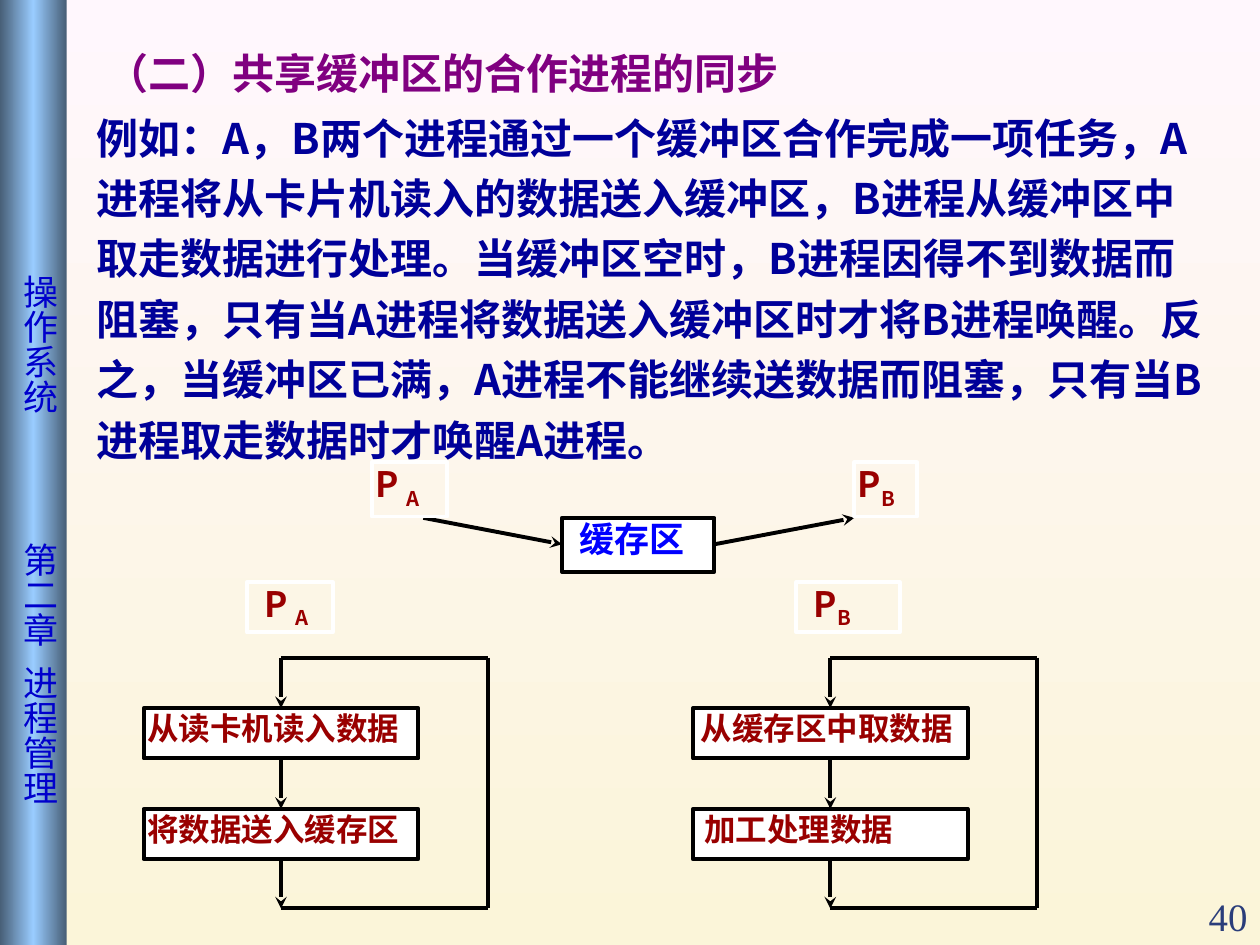
from dataclasses import dataclass
from copy import deepcopy

from lxml.etree import SubElement
from pptx import Presentation
from pptx.dml.color import RGBColor
from pptx.enum.shapes import MSO_CONNECTOR, MSO_SHAPE
from pptx.enum.text import MSO_ANCHOR, PP_ALIGN
from pptx.oxml.ns import qn
from pptx.util import Inches, Pt


@dataclass(frozen=True)
class Theme:
    sans: str = "Noto Sans CJK SC"
    serif: str = "Times New Roman"
    sky: tuple = ((0, "FFF7FD"), (1, "FBF5D9"))
    steel: tuple = ((0, "475E76"), (0.5, "99CCFF"), (1, "475E76"))
    heading: str = "800080"
    body: str = "000099"
    sidebar: str = "0000CC"
    buffer: str = "0000FF"
    step: str = "990000"
    number: str = "2A3D7A"
    black: str = "000000"
    white: str = "FFFFFF"
    text_size: float = 24
    number_size: float = 22.2
    label_size: float = 20
    step_size: float = 18
    stroke: float = 2.25


theme = Theme()
deck = Presentation()
deck.slide_width, deck.slide_height = Inches(10), Inches(7.5)
page = deck.slides.add_slide(deck.slide_layouts[6])

# Grid of 100 columns by 75 rows
column = deck.slide_width / 100
row = deck.slide_height / 75


def add_box(place, text, size, color, font=theme.sans, bold=True, fill=None,
            line=None, margins=(0, 0), subscript=None):
    """Box at (left, top, width, height); margins are (side, top and bottom)."""
    left, top, width, height = place
    box = page.shapes.add_shape(MSO_SHAPE.RECTANGLE, int(left * column), int(top * row),
                                int(width * column), int(height * row))
    box.shadow.inherit = False
    if fill:
        box.fill.solid()
        box.fill.fore_color.rgb = RGBColor.from_string(fill)
    else:
        box.fill.background()
    if line:
        box.line.color.rgb = RGBColor.from_string(line)
        box.line.width = Pt(theme.stroke)
    else:
        box.line.fill.background()
    frame = box.text_frame
    frame.word_wrap = True
    frame.vertical_anchor = MSO_ANCHOR.TOP
    frame.margin_left = int(margins[0] * column)
    frame.margin_right = int(margins[0] * column) if not line else 0
    frame.margin_top = frame.margin_bottom = int(margins[1] * row)
    frame.text = text
    paragraph = frame.paragraphs[0]
    paragraph.alignment = PP_ALIGN.LEFT
    if subscript:
        span = paragraph.add_run()
        span.text = subscript
        span.font._element.set("baseline", "-25000")
    for span in paragraph.runs:
        span.font.size, span.font.bold, span.font.name = Pt(size), bold, font
        span.font.color.rgb = RGBColor.from_string(color)
        SubElement(span.font._element, qn("a:ea"), typeface=theme.sans)
    return box


def add_line(start, end, arrow=False):
    line = page.shapes.add_connector(
        MSO_CONNECTOR.STRAIGHT, int(start[0] * column), int(start[1] * row),
        int(end[0] * column), int(end[1] * row))
    line.line.color.rgb = RGBColor.from_string(theme.black)
    line.line.width = Pt(theme.stroke)
    if arrow:
        SubElement(line.line._get_or_add_ln(), qn("a:tailEnd"), type="stealth")
    SubElement(line._element.spPr, qn("a:effectLst"))


# Sidebar: vertical course and chapter names, spaced by tab stops
sidebar = add_box((0, 0, 5.3, 75), "\t操作系统\t第二章\t进程管理", theme.label_size,
                  theme.sidebar, bold=False, margins=(0.5, 1))
sidebar.text_frame._txBody.bodyPr.set("vert", "eaVert")
tab_list = SubElement(sidebar.text_frame.paragraphs[0]._p.get_or_add_pPr(), qn("a:tabLst"))
for stop_row in (20.8, 42.1, 51.8):
    SubElement(tab_list, qn("a:tab"), pos=str(int(stop_row * row)), algn="l")

# Gradients of the background and the sidebar
for fill, angle, colors in ((page.background.fill, 270, theme.sky),
                            (sidebar.fill, 0, theme.steel)):
    fill.gradient()
    fill.gradient_angle = angle
    stop_list = fill.gradient_stops[0]._gs.getparent()
    for _ in colors[2:]:
        stop_list.append(deepcopy(stop_list[0]))
    for stop, (position, color) in zip(fill.gradient_stops, colors):
        stop.position = position
        stop.color.rgb = RGBColor.from_string(color)

# Page number
number = add_box((90, 70.1, 10, 5), "40", theme.number_size, theme.number,
                 font=theme.serif, bold=False, margins=(1, 0.5))
number.text_frame.vertical_anchor = MSO_ANCHOR.BOTTOM
number.text_frame.paragraphs[0].alignment = PP_ALIGN.RIGHT
number.text_frame.paragraphs[0].line_spacing = 0.9

# Heading and explanation
add_box((7.5, 3.3, 67.5, 5), "（二）共享缓冲区的合作进程的同步", theme.text_size,
        theme.heading, margins=(1, 0.5))
body = add_box(
    (6.7, 7.6, 90.8, 29.8),
    "例如：A，B两个进程通过一个缓冲区合作完成一项任务，A进程将从卡片机读入的数据送入缓冲区，"
    "B进程从缓冲区中取走数据进行处理。当缓冲区空时，B进程因得不到数据而阻塞，"
    "只有当A进程将数据送入缓冲区时才将B进程唤醒。反之，当缓冲区已满，"
    "A进程不能继续送数据而阻塞，只有当B进程取走数据时才唤醒A进程。",
    theme.text_size, theme.body, margins=(1, 0.5))
body.text_frame.paragraphs[0].line_spacing = 1.2

# Shared buffer between the two processes
add_box((44.6, 41.1, 12.1, 4.3), "缓存区", theme.label_size, theme.buffer,
        fill=theme.white, line=theme.black, margins=(1.4, 0))
add_line((33.6, 41.1), (44.6, 43.2), arrow=True)
add_line((56.7, 43.2), (67.8, 41.1), arrow=True)

# Loop of each process: entry, two steps, return path
loop_top, loop_bottom, step_height = 52.2, 72.1, 4
step_tops = (56.2, 64.2)
for left, steps in ((11.4, (("从读卡机读入数据", 0.3), ("将数据送入缓存区", 0.3))),
                    (55, (("从缓存区中取数据", 0.6), ("加工处理数据", 0.9)))):
    middle, right = left + 10.9, left + 27.3
    for top, (text, indent) in zip(step_tops, steps):
        add_box((left, top, 21.8, step_height), text, theme.step_size, theme.step,
                fill=theme.white, line=theme.black, margins=(indent, 0.1))
    starts = (loop_top, *(top + step_height for top in step_tops))
    for start, end in zip(starts, (*step_tops, loop_bottom)):
        add_line((middle, start), (middle, end), arrow=True)
    for level in (loop_top, loop_bottom):
        add_line((middle, level), (right, level))
    add_line((right, loop_top), (right, loop_bottom))

# Process names
for place, letter, index, indent in (
        ((29.5, 36.7, 6, 4.3), "P ", "A", 0.3),
        ((67.8, 36.7, 5, 4.3), "P", "B", 0.3),
        ((19.6, 46.2, 6.8, 4), "P ", "A", 1.4),
        ((63.2, 46.2, 8.2, 4), "P", "B", 1.4)):
    add_box(place, letter, theme.label_size, theme.step, line=theme.white,
            margins=(indent, 0), subscript=index)

deck.save("out.pptx")
